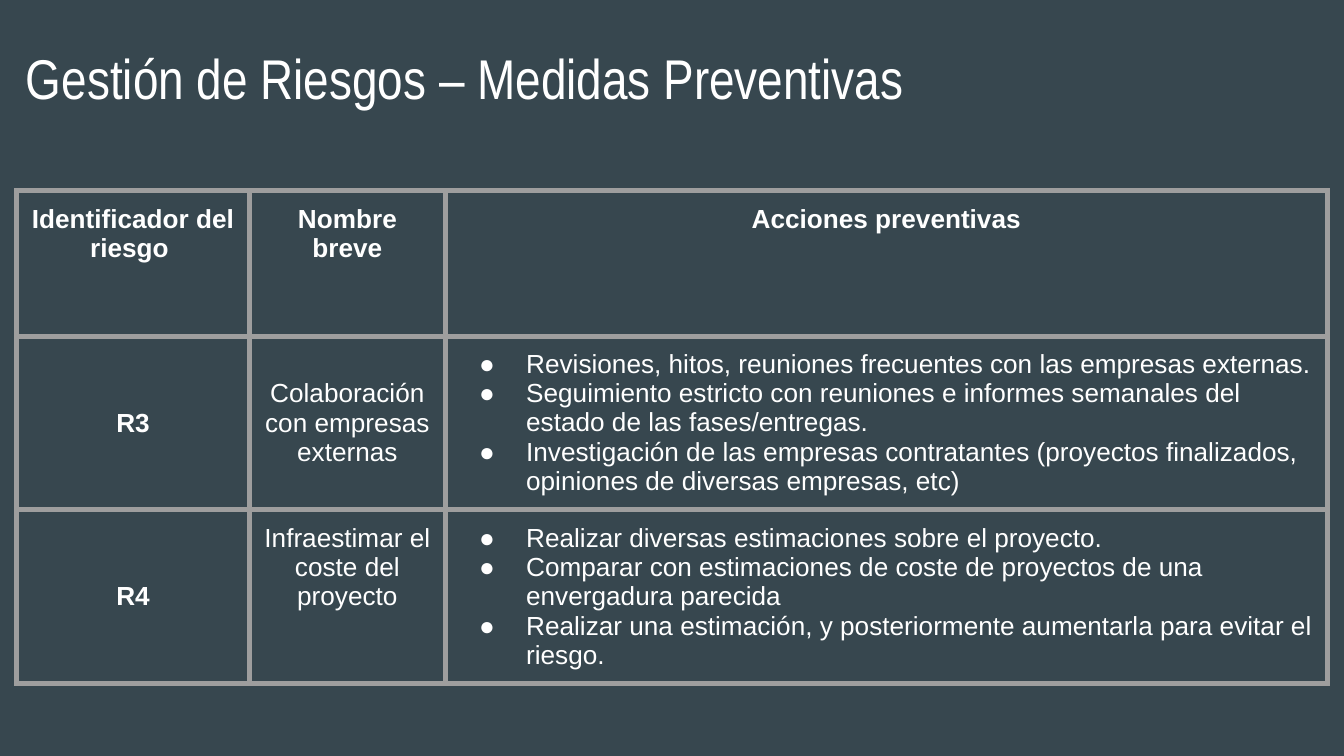
from lxml.etree import SubElement
from pptx import Presentation
from pptx.dml.color import RGBColor
from pptx.enum.text import MSO_ANCHOR, PP_ALIGN
from pptx.oxml.ns import qn
from pptx.util import Inches, Pt

WIDTH = 10
HEIGHT = WIDTH * 9 / 16
BACKGROUND, TEXT, BORDER = "37474F", "FFFFFF", "9E9E9E"
INSET = 0.1
COLUMNS = (1.73, 1.46, 6.56)
ROWS = (1.08, 1.29, 1.29)

HEADERS = ("Identificador del riesgo ", "Nombre breve", "Acciones preventivas")
# Identifier, short name, vertical anchor of the name, preventive actions
RISKS = (
    ("R3", "Colaboración con empresas externas", MSO_ANCHOR.MIDDLE, (
        "Revisiones, hitos, reuniones frecuentes con las empresas externas.",
        "Seguimiento estricto con reuniones e informes semanales del estado de las fases/entregas.",
        "Investigación de las empresas contratantes (proyectos finalizados, "
        "opiniones de diversas empresas, etc)")),
    ("R4", "Infraestimar el coste del proyecto", MSO_ANCHOR.TOP, (
        "Realizar diversas estimaciones sobre el proyecto.",
        "Comparar con estimaciones de coste de proyectos de una envergadura parecida",
        "Realizar una estimación, y posteriormente aumentarla para evitar el riesgo.")),
)


def color(value):
    return RGBColor.from_string(value)


def set_margins(target):
    for side in ("left", "top", "right", "bottom"):
        setattr(target, f"margin_{side}", Inches(INSET))


def write(p, text, **font):
    r = p.add_run()
    r.text = text
    for name, value in {"name": "Arial", "size": Pt(14), "bold": False, **font}.items():
        setattr(r.font, name, value)
    r.font.color.rgb = color(TEXT)


def add_bullet(p):
    pPr = p._p.get_or_add_pPr()
    pPr.set("marL", str(Inches(0.5)))
    pPr.set("indent", str(Inches(-0.35)))
    bullet_color = SubElement(pPr, qn("a:buClr"))
    SubElement(bullet_color, qn("a:srgbClr"), val=TEXT)
    SubElement(pPr, qn("a:buFont"), typeface="Arial")
    SubElement(pPr, qn("a:buChar"), char="●")


def add_borders(cell):
    tcPr = cell._tc.get_or_add_tcPr()
    for position, side in enumerate(("lnL", "lnR", "lnT", "lnB")):
        line = SubElement(tcPr, qn(f"a:{side}"), w=str(Pt(3)))
        fill = SubElement(line, qn("a:solidFill"))
        SubElement(fill, qn("a:srgbClr"), val=BORDER)
        tcPr.insert(position, line)  # borders come before the cell fill


def fill_cell(cell, lines, anchor=MSO_ANCHOR.TOP, bold=False, bullets=False):
    cell.fill.background()
    cell.vertical_anchor = anchor
    set_margins(cell)
    add_borders(cell)
    tf = cell.text_frame
    for i, text in enumerate(lines):
        p = tf.add_paragraph() if i else tf.paragraphs[0]
        p.alignment = PP_ALIGN.LEFT if bullets else PP_ALIGN.CENTER
        if bullets:
            add_bullet(p)
        write(p, text, bold=bold)


def add_title(s, text, box):
    sp = s.shapes.add_textbox(*map(Inches, box))
    tf = sp.text_frame
    tf.word_wrap = True
    tf.vertical_anchor = MSO_ANCHOR.TOP
    set_margins(tf)
    write(tf.paragraphs[0], text, name="Arial Narrow", size=Pt(30))


def add_risk_table(s, left, top):
    box = (left, top, sum(COLUMNS), sum(ROWS))
    table = s.shapes.add_table(len(ROWS), len(COLUMNS), *map(Inches, box)).table
    table.first_row = table.horz_banding = False
    for column, width in zip(table.columns, COLUMNS):
        column.width = Inches(width)
    for row, height in zip(table.rows, ROWS):
        row.height = Inches(height)

    # Header row
    for i, header in enumerate(HEADERS):
        fill_cell(table.cell(0, i), [header], bold=True)
    # One row for each risk
    for i, (code, name, anchor, actions) in enumerate(RISKS, 1):
        fill_cell(table.cell(i, 0), [code], MSO_ANCHOR.MIDDLE, bold=True)
        fill_cell(table.cell(i, 1), [name], anchor)
        fill_cell(table.cell(i, 2), actions, bullets=True)


def main():
    prs = Presentation()
    prs.slide_width, prs.slide_height = Inches(WIDTH), Inches(HEIGHT)
    s = prs.slides.add_slide(prs.slide_layouts[6])
    s.background.fill.solid()
    s.background.fill.fore_color.rgb = color(BACKGROUND)

    # Table centred across the slide, about a quarter of the way down
    add_risk_table(s, (WIDTH - sum(COLUMNS)) / 2, HEIGHT * 0.2525)
    add_title(s, " Gestión de Riesgos – Medidas Preventivas",
              (0, HEIGHT * 0.04, WIDTH * 0.93, HEIGHT * 0.11))
    prs.save("out.pptx")


if __name__ == "__main__":
    main()
